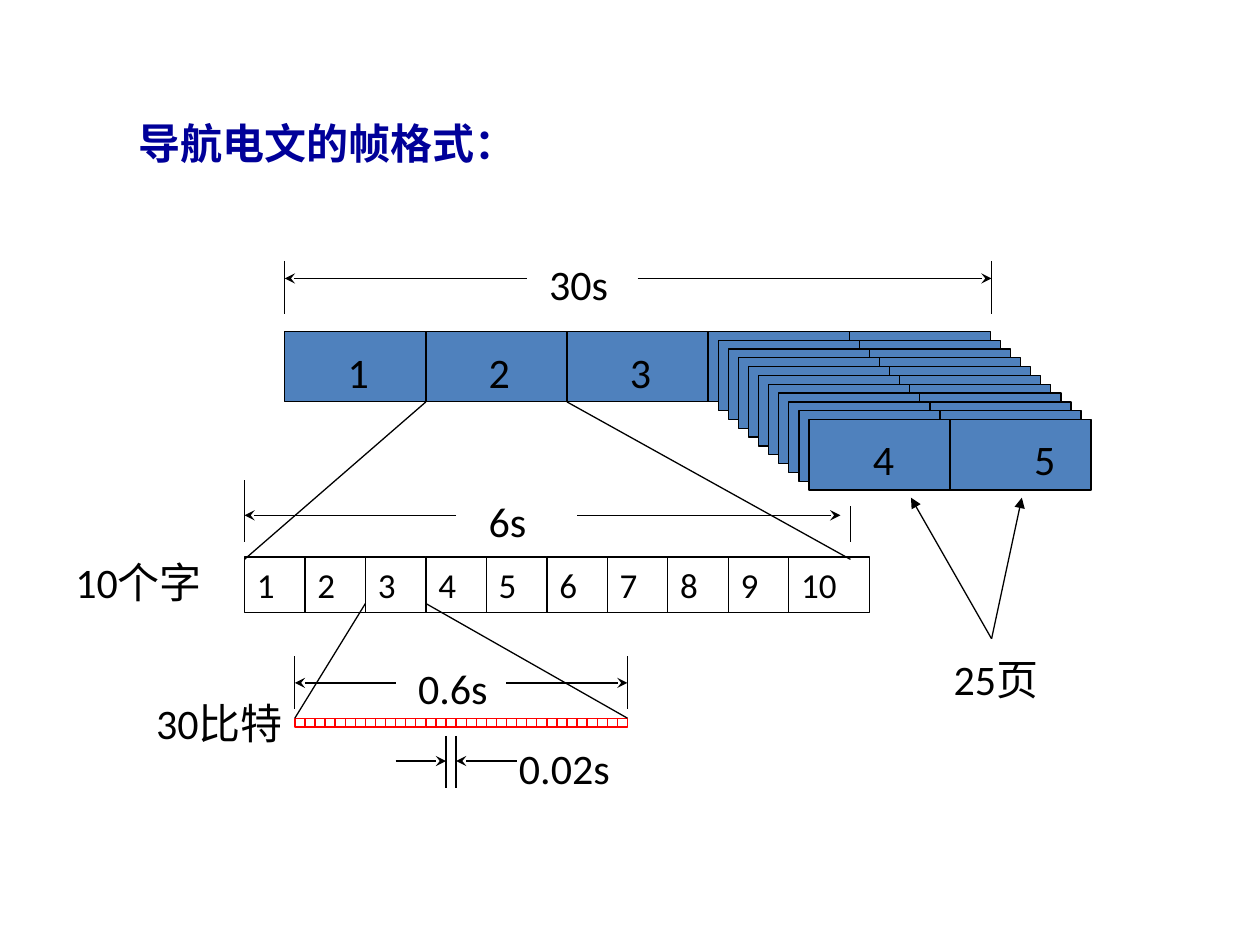
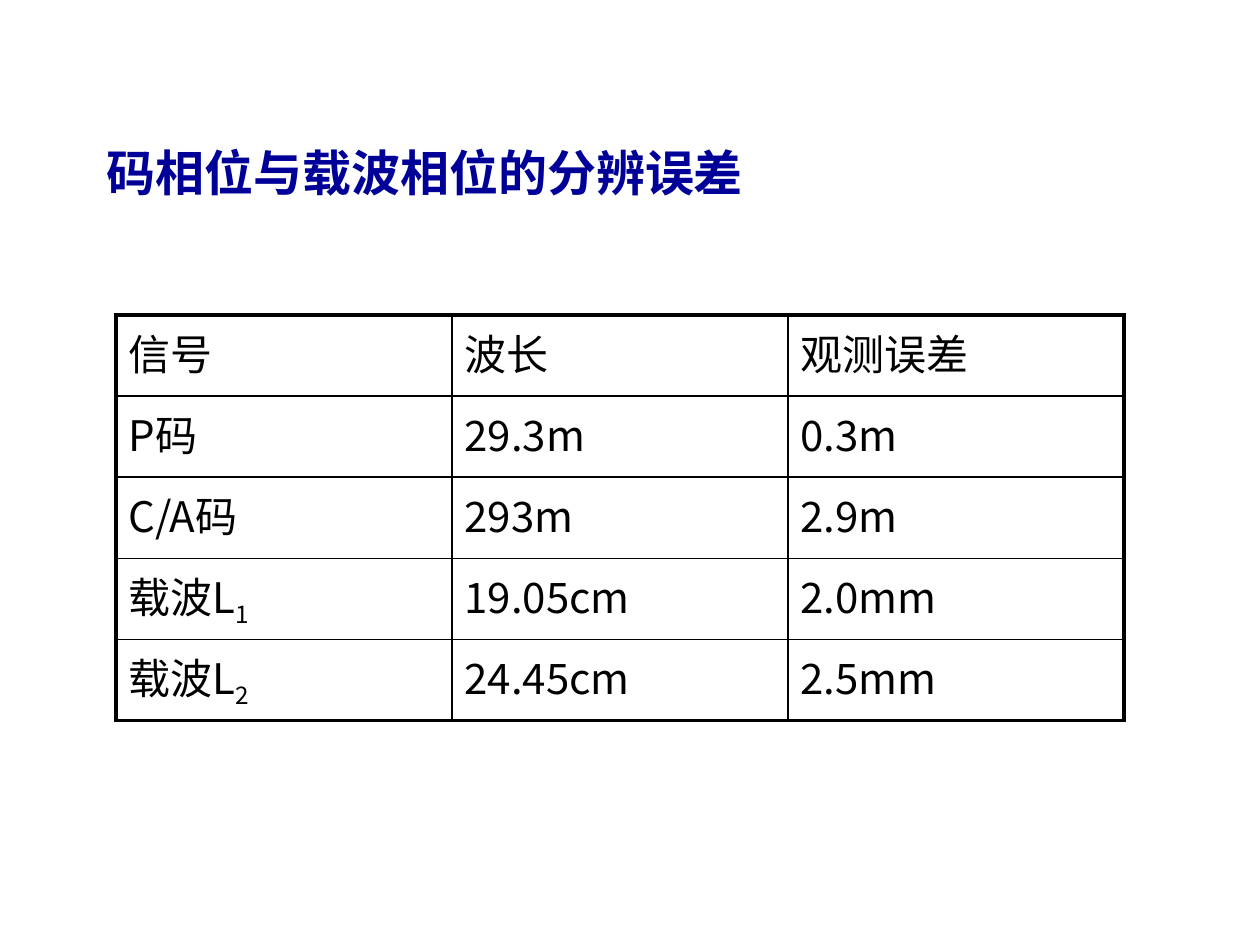
from lxml import etree
from pptx import Presentation
from pptx.dml.color import RGBColor
from pptx.enum.shapes import MSO_CONNECTOR, MSO_SHAPE
from pptx.enum.text import MSO_ANCHOR, MSO_AUTO_SIZE, PP_ALIGN
from pptx.oxml.ns import qn
from pptx.util import Inches, Pt

RECT = MSO_SHAPE.RECTANGLE
STRAIGHT = MSO_CONNECTOR.STRAIGHT
TOP = MSO_ANCHOR.TOP
LEFT = PP_ALIGN.LEFT
GROW = MSO_AUTO_SIZE.SHAPE_TO_FIT_TEXT
FIXED = MSO_AUTO_SIZE.NONE

COLORS = {"title": "000099", "ink": "000000", "frame": "4F81BD", "bit": "FF0000"}
LATIN = "Calibri"
CJK = "Noto Sans CJK SC"

FRAME_W, FRAME_H = 1.12, 0.56
PAGES, PAGE_DX, PAGE_DY = 11, 0.08, 0.07
WORD_W, WORD_H, LAST_WORD_W = 0.48, 0.44, 0.64
BITS, BIT_W, BIT_H = 33, 0.08, 0.07

SIGNALS = [
    [("信号",), ("波长",), ("观测误差",)],
    [("P码",), ("29.3m",), ("0.3m",)],
    [("C/A码",), ("293m",), ("2.9m",)],
    [("载波L", "1"), ("19.05cm",), ("2.0mm",)],
    [("载波L", "2"), ("24.45cm",), ("2.5mm",)],
]


def rgb(name):
    return RGBColor.from_string(COLORS[name])


def write(tf, text, sub="", size=24, color="ink", bold=False, font=LATIN,
          east_asian=None, line_spacing=None):
    """Fill a text frame with one line, optionally ending in a subscript."""
    tf.word_wrap = True
    tf.vertical_anchor = TOP
    p = tf.paragraphs[0]
    p.alignment = LEFT
    if line_spacing:
        p.line_spacing = line_spacing
    for part in filter(None, (text, sub)):
        r = p.add_run()
        r.text = part
        r.font.size = Pt(size)
        r.font.bold = bold
        r.font.name = font
        r.font.color.rgb = rgb(color)
        props = r._r.get_or_add_rPr()
        etree.SubElement(props, qn("a:ea")).set("typeface", east_asian or font)
        if part == sub:
            props.set("baseline", "-25000")


def add_text(slide, box, text, auto_size=GROW, **fmt):
    sp = slide.shapes.add_textbox(*map(Inches, box))
    write(sp.text_frame, text, **fmt)
    sp.text_frame.auto_size = auto_size


def add_title(slide, box, text, size, line_spacing):
    add_text(slide, box, text, FIXED, size=size, color="title", bold=True,
             font=CJK, east_asian=LATIN, line_spacing=line_spacing)


def add_rect(slide, box, fill=None, line="ink"):
    s = slide.shapes.add_shape(RECT, *map(Inches, box))
    s.shadow.inherit = False
    if fill:
        s.fill.solid()
        s.fill.fore_color.rgb = rgb(fill)
    else:
        s.fill.background()
    s.line.color.rgb = rgb(line)
    s.line.width = Pt(0.75)
    return s


def add_line(slide, start, end, arrow=None):
    c = slide.shapes.add_connector(STRAIGHT, *map(Inches, (*start, *end)))
    c.line.color.rgb = rgb("ink")
    c.line.width = Pt(0.75)
    props = c._element.spPr
    if arrow:
        etree.SubElement(props.find(qn("a:ln")), qn("a:tailEnd")).set("type", arrow)
    etree.SubElement(props, qn("a:effectLst"))


def add_span(slide, y, left, right, label, label_box):
    """Dimension arrows: left and right are (inner end, arrow tip) pairs."""
    for inner, tip in (left, right):
        add_line(slide, (inner, y), (tip, y), "stealth")
    add_text(slide, label_box, label)


def add_ticks(slide, *ticks):
    for x, top, bottom in ticks:
        add_line(slide, (x, top), (x, bottom))


def add_subframes(slide, x, y):
    """Three plain subframes, then two whose pages are stacked."""
    def place(column, page=0):
        add_rect(slide, (x + column * FRAME_W + page * PAGE_DX,
                         y + page * PAGE_DY, FRAME_W, FRAME_H), "frame")

    for column in range(3):
        place(column)
    for page in range(PAGES):
        place(4, page)
        place(3, page)
    for column in range(3):
        add_text(slide, (x + 0.4 + column * FRAME_W, y + 0.07, 0.32, 0.5), str(column + 1))
    for dx, label in ((4.57, "4"), (5.85, "5")):
        add_text(slide, (x + dx, y + 0.76, 0.32, 0.5), label)


def add_words(slide, x, y):
    for i in range(10):
        width = LAST_WORD_W if i == 9 else WORD_W
        s = add_rect(slide, (x + i * WORD_W, y, width, WORD_H))
        write(s.text_frame, str(i + 1), size=20)
        s.text_frame.auto_size = GROW


def add_bits(slide, x, y):
    for i in range(BITS):
        add_rect(slide, (x + i * BIT_W, y, BIT_W, BIT_H), line="bit")


def build_frame_format(slide):
    add_title(slide, (1, 0.68, 3.25, 0.5), "导航电文的帧格式：", 24, 1.5)
    add_subframes(slide, 2.26, 2.63)
    add_words(slide, 1.94, 4.42)
    add_bits(slide, 2.34, 5.7)

    zoom_lines = [((3.38, 3.19), (1.94, 4.44)), ((4.5, 3.19), (6.75, 4.44)),
                  ((2.9, 4.79), (2.34, 5.7)), ((3.38, 4.79), (4.98, 5.7))]
    for start, end in zoom_lines:
        add_line(slide, start, end)

    add_ticks(slide, (2.26, 2.07, 2.49), (7.87, 2.07, 2.49),
              (1.94, 3.81, 4.3), (6.75, 4.02, 4.3),
              (2.34, 5.21, 5.63), (4.98, 5.21, 5.63),
              (3.54, 5.84, 6.25), (3.62, 5.84, 6.25))
    add_span(slide, 2.21, (4.18, 2.26), (5.06, 7.87), "30s", (4.26, 2, 0.8, 0.5))
    add_span(slide, 4.09, (3.62, 1.94), (4.58, 6.67), "6s", (3.78, 3.88, 0.64, 0.5))
    add_span(slide, 5.42, (3.14, 2.34), (4.02, 4.98), "0.6s", (3.22, 5.21, 0.8, 0.5))
    add_span(slide, 6.04, (3.14, 3.54), (4.1, 3.62), "0.02s", (4.02, 5.84, 1.02, 0.5))

    for tip_x in (7.23, 8.11):
        add_line(slide, (7.87, 5.07), (tip_x, 3.95), "triangle")
    add_text(slide, (7.47, 5.14, 1.04, 0.5), "25页")
    add_text(slide, (0.5, 4.37, 1.36, 0.5), "10个字")
    add_text(slide, (1.14, 5.49, 1.36, 0.5), "30比特")


def set_borders(cell, widths):
    """Draw the left, right, top and bottom borders, widths in points."""
    props = cell._tc.get_or_add_tcPr()
    for i, (side, width) in enumerate(zip("LRTB", widths)):
        ln = etree.Element(qn(f"a:ln{side}"), w=str(Pt(width)))
        fill = etree.SubElement(ln, qn("a:solidFill"))
        etree.SubElement(fill, qn("a:srgbClr")).set("val", COLORS["ink"])
        props.insert(i, ln)


def add_signal_table(slide, box):
    rows, cols = len(SIGNALS), len(SIGNALS[0])
    table = slide.shapes.add_table(rows, cols, *map(Inches, box)).table
    table.first_row = table.horz_banding = False
    for i, row in enumerate(SIGNALS):
        for j, content in enumerate(row):
            cell = table.cell(i, j)
            cell.fill.background()
            write(cell.text_frame, *content, font=CJK)
            outer = (j == 0, j == cols - 1, i == 0, i == rows - 1)
            set_borders(cell, [2.25 if edge else 1 for edge in outer])


def build_resolution_error(slide):
    add_title(slide, (0.75, 1.17, 8.5, 0.5), "码相位与载波相位的分辨误差", 28, 0.8)
    add_signal_table(slide, (0.92, 2.5, 8, 3.22))


def main():
    prs = Presentation()
    prs.slide_width, prs.slide_height = Inches(10), Inches(7.5)
    for build in (build_frame_format, build_resolution_error):
        build(prs.slides.add_slide(prs.slide_layouts[6]))
    prs.save("out.pptx")


if __name__ == "__main__":
    main()
